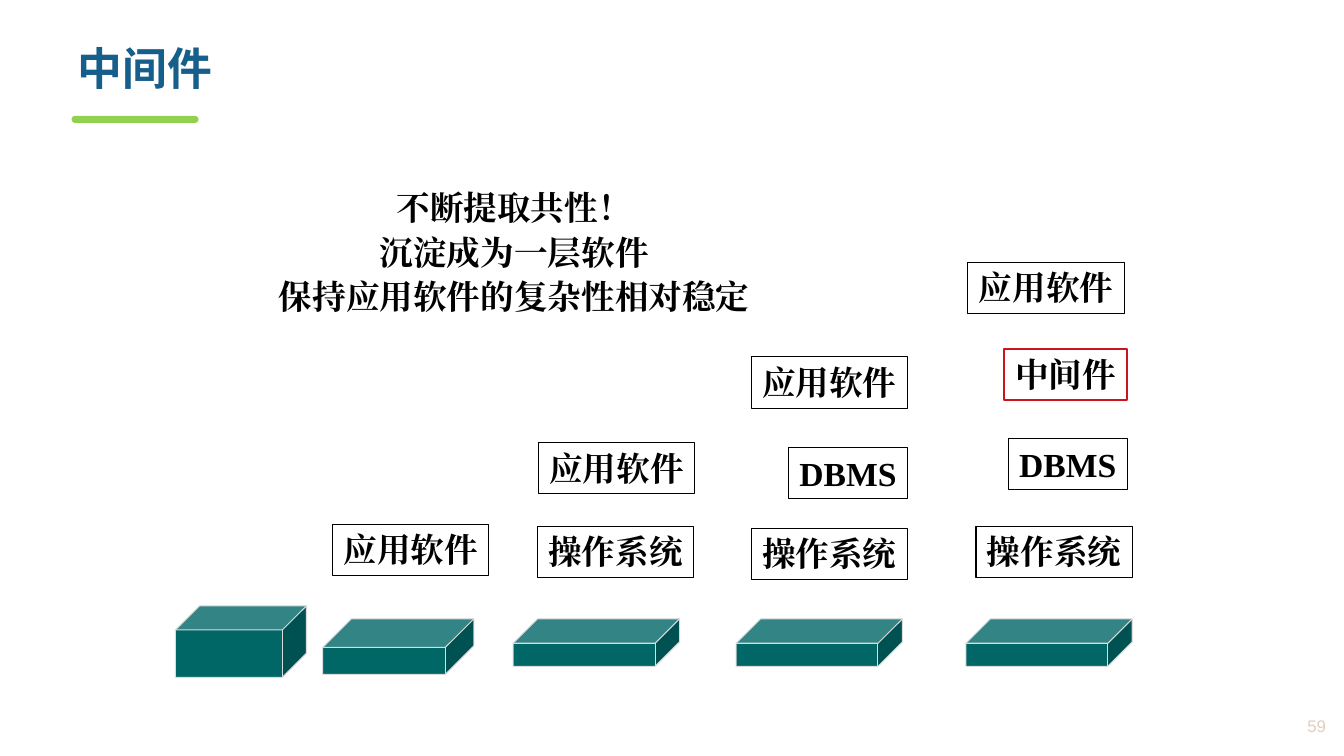
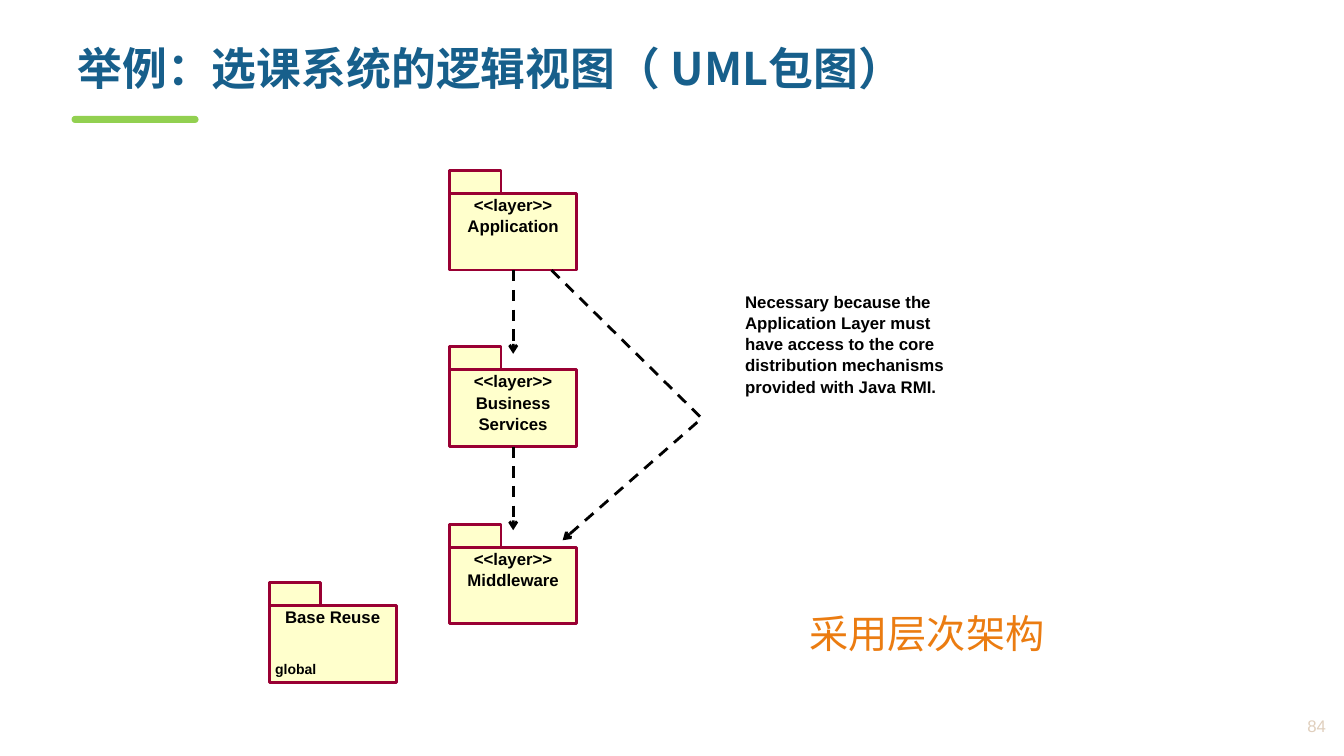
"""Build two slides: how middleware emerged, and a layered package diagram."""
from lxml.etree import SubElement
from pptx import Presentation
from pptx.dml.color import RGBColor
from pptx.enum.dml import MSO_LINE
from pptx.enum.shapes import MSO_CONNECTOR, MSO_SHAPE
from pptx.enum.text import MSO_ANCHOR, PP_ALIGN
from pptx.oxml.ns import qn
from pptx.util import Inches, Pt

HUES = {
    "title": "175F8B", "bar": "92D050", "page": "E0CFBD", "ink": "000000",
    "cube": "006666", "edge": "DBDBDB", "new": "C8161E",
    "pack": "FFFFCC", "rim": "990033", "note": "EB7C11",
}


def put(slide, kind, spot, fill=None, line=None, width=0.75):
    """Add a preset shape, or a text box when kind is None."""
    spot = [Inches(n) for n in spot]
    if kind is None:
        return slide.shapes.add_textbox(*spot)
    shape = slide.shapes.add_shape(kind, *spot)
    shape.shadow.inherit = False
    if fill:
        shape.fill.solid()
        shape.fill.fore_color.rgb = RGBColor.from_string(HUES[fill])
    else:
        shape.fill.background()
    if line:
        shape.line.color.rgb = RGBColor.from_string(HUES[line])
        shape.line.width = Pt(width)
    else:
        shape.line.fill.background()
    return shape


def write(shape, text, size, font="Arial", hue="ink", bold=True,
          align=PP_ALIGN.LEFT, gap=None, wrap=True, anchor=MSO_ANCHOR.TOP):
    """Fill a shape with text, one paragraph a line."""
    frame = shape.text_frame
    frame.word_wrap = wrap
    frame.vertical_anchor = anchor
    frame.text = text
    for para in frame.paragraphs:
        para.alignment = align
        para.line_spacing = gap
        for run in para.runs:
            run.font.size = Pt(size)
            run.font.name = font
            run.font.bold = bold
            run.font.color.rgb = RGBColor.from_string(HUES[hue])
            SubElement(run.font._element, qn("a:ea")).set("typeface", font)
    return frame


deck = Presentation()
deck.slide_width = Inches(13.33)
deck.slide_height = Inches(7.5)

pages = []
for title, num in (("中间件", "59"), ("举例：选课系统的逻辑视图（ UML包图）", "84")):
    slide = deck.slides.add_slide(deck.slide_layouts[6])
    bar = put(slide, MSO_SHAPE.ROUNDED_RECTANGLE, (0.71, 1.15, 1.26, 0.07), "bar")
    bar.adjustments[0] = 0.5
    write(put(slide, None, (0.67, 0.41, 12.27, 0.75)), title, 32,
          "Noto Sans CJK SC", "title", gap=0.9)
    write(put(slide, None, (12.12, 7.01, 1.13, 0.38)), num, 12, hue="page",
          bold=False, align=PP_ALIGN.RIGHT, anchor=MSO_ANCHOR.MIDDLE)
    pages.append(slide)
stack, layers = pages

SERIF = "Times New Roman"
claim = "不断提取共性！\n沉淀成为一层软件\n保持应用软件的复杂性相对稳定"
write(put(stack, None, (2.63, 1.77, 4.94, 1.43)), claim, 24, SERIF,
      align=PP_ALIGN.CENTER, gap=1.1, wrap=False)

cubes = (
    (1.74, 6.01, 1.3, 0.71, 0.338), (3.2, 6.14, 1.5, 0.55, 0.515),
    (5.09, 6.14, 1.65, 0.47, 0.515), (7.3, 6.14, 1.65, 0.47, 0.515),
    (9.58, 6.14, 1.65, 0.47, 0.515),
)
for *spot, depth in cubes:
    cube = put(stack, MSO_SHAPE.CUBE, spot, "cube", "edge")
    cube.adjustments[0] = depth

WIDE = {"应用软件": 1.55, "操作系统": 1.55, "DBMS": 1.18, "中间件": 1.22}
parts = (
    ("应用软件", 3.3, 5.2),
    ("应用软件", 5.34, 4.39), ("操作系统", 5.33, 5.22),
    ("应用软件", 7.45, 3.54), ("DBMS", 7.82, 4.44), ("操作系统", 7.45, 5.24),
    ("应用软件", 9.6, 2.6), ("中间件", 9.96, 3.46), ("DBMS", 10, 4.35),
    ("操作系统", 9.68, 5.22),
)
for name, left, top in parts:
    line, width = ("new", 1.75) if name == "中间件" else ("ink", 0.75)
    box = put(stack, MSO_SHAPE.RECTANGLE, (left, top, WIDE[name], 0.51),
              None, line, width)
    write(box, name, 24, SERIF, align=PP_ALIGN.CENTER, wrap=False)

PITCH = Pt(15.2)
packs = (
    ("<<layer>>\nApplication", 4.46, 1.69),
    ("<<layer>>\nBusiness\nServices", 4.46, 3.44),
    ("<<layer>>\nMiddleware", 4.46, 5.2),
    ("Base Reuse\nglobal", 2.67, 5.78),
)
bodies = []
for text, left, top in packs:
    body = put(layers, MSO_SHAPE.RECTANGLE, (left, top + 0.23, 1.26, 0.76),
               "pack", "rim", 2)
    put(layers, MSO_SHAPE.RECTANGLE, (left, top, 0.51, 0.23), "pack", "rim", 2)
    frame = write(body, text, 12, align=PP_ALIGN.CENTER, gap=PITCH)
    frame.margin_left = frame.margin_right = Inches(0.06)
    frame.margin_top = frame.margin_bottom = 0
    bodies.append(body)
scope = frame.paragraphs[1]
scope.alignment = PP_ALIGN.LEFT
scope.space_before = Pt(21)
scope.runs[0].font.size = Pt(10)

arrows = []
for body, start, end in zip(bodies, (2.68, 4.43), (3.51, 5.26)):
    arrow = layers.shapes.add_connector(
        MSO_CONNECTOR.STRAIGHT, Inches(5.09), Inches(start), Inches(5.09), Inches(end))
    arrow.begin_connect(body, 2)
    SubElement(arrow._element.spPr, qn("a:effectLst"))
    arrows.append(arrow)
pen = layers.shapes.build_freeform(Inches(5.47), Inches(2.68))
pen.add_line_segments([(Inches(6.96), Inches(4.15)), (Inches(5.58), Inches(5.36))],
                      close=False)
bend = pen.convert_to_shape()
bend.shadow.inherit = False
bend.fill.background()
arrows.append(bend)
for arrow in arrows:
    arrow.line.color.rgb = RGBColor.from_string(HUES["ink"])
    arrow.line.width = Pt(2)
    arrow.line.dash_style = MSO_LINE.DASH
    SubElement(arrow.line._get_or_add_ln(), qn("a:tailEnd")).set("type", "arrow")

reason = ("Necessary because the Application Layer must have access to the core "
          "distribution mechanisms provided with Java RMI.")
frame = write(put(layers, None, (7.39, 2.88, 2.1, 1.06)), reason, 12, gap=PITCH)
frame.margin_left = frame.margin_right = frame.margin_top = frame.margin_bottom = 0
write(put(layers, None, (7.93, 5.9, 4.47, 0.75)), "采用层次架构", 28, hue="note",
      bold=False, anchor=MSO_ANCHOR.MIDDLE)

deck.save("out.pptx")
